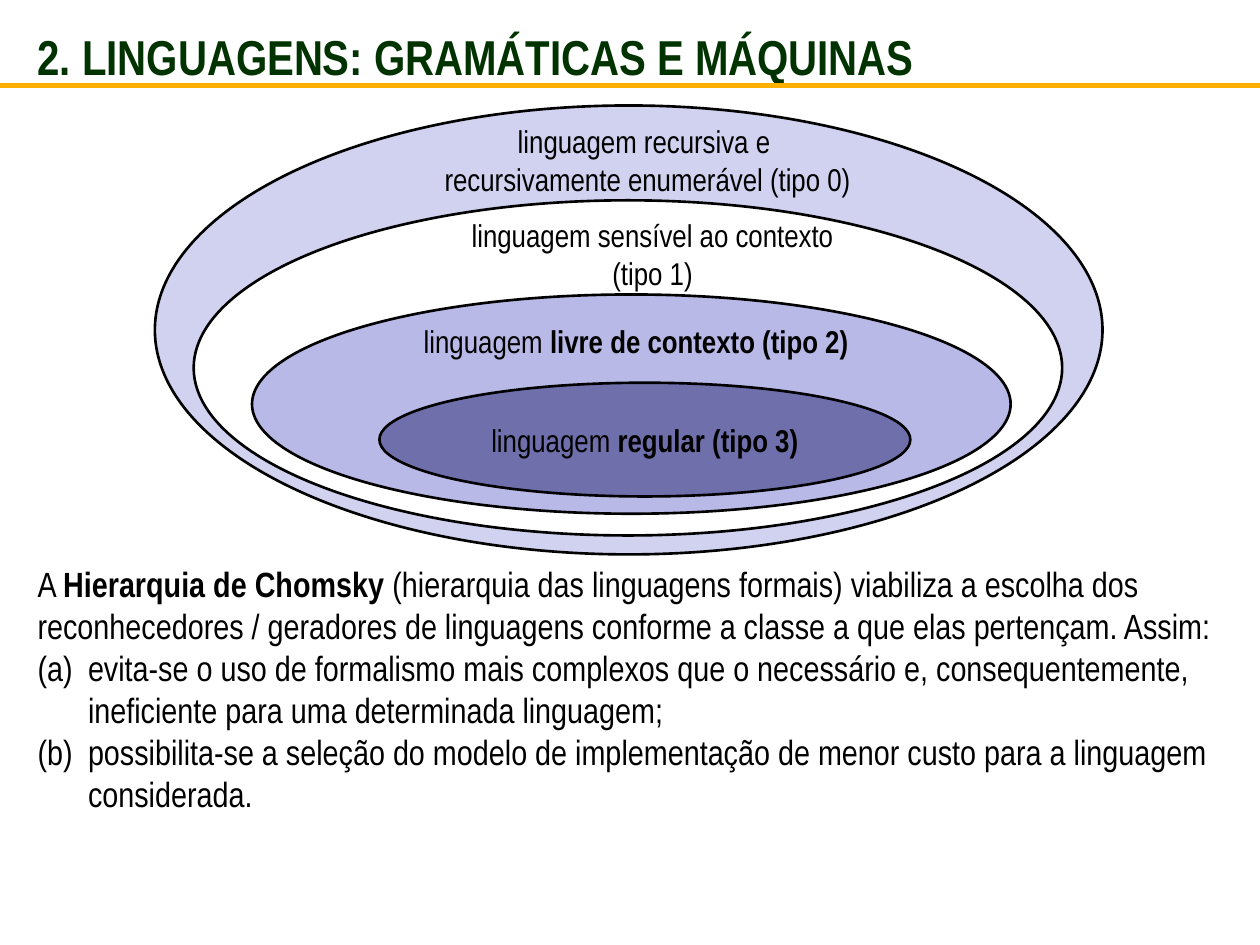
from lxml.etree import SubElement
from pptx import Presentation
from pptx.dml.color import RGBColor
from pptx.enum.shapes import MSO_CONNECTOR, MSO_SHAPE
from pptx.enum.text import MSO_ANCHOR, PP_ALIGN
from pptx.oxml.ns import qn
from pptx.util import Pt

FONT = "Arial Narrow"
BLACK = RGBColor(0, 0, 0)
WHITE = RGBColor(0xFF, 0xFF, 0xFF)
GREEN = RGBColor(0, 0x33, 0)
AMBER = RGBColor(0xFF, 0xB0, 0)
PALE = RGBColor(0xD1, 0xD1, 0xF0)
LILAC = RGBColor(0x75, 0x75, 0xD1)
NAVY = RGBColor(0x26, 0x26, 0x73)

# Each paragraph is a list of (text, bold) runs.
TITLE = [[("2. LINGUAGENS: GRAMÁTICAS E MÁQUINAS", True)]]
TYPE_0 = [[("linguagem recursiva e ", False)],
          [("recursivamente enumerável (tipo 0)", False)]]
TYPE_1 = [[("linguagem sensível ao contexto", False)], [("(tipo 1)", False)]]
TYPE_2 = [[("linguagem ", False), ("livre de contexto (tipo 2)", True)]]
TYPE_3 = [[("linguagem ", False), ("regular (tipo 3)", True)]]
BODY = [
    [("A ", False), ("Hierarquia de Chomsky ", True),
     ("(hierarquia das linguagens formais) viabiliza a escolha dos "
      "reconhecedores / geradores de linguagens conforme a classe a que "
      "elas pertençam. Assim: ", False)],
    [("evita-se o uso de formalismo mais complexos que o necessário e, "
      "consequentemente, ineficiente para uma determinada linguagem; ", False)],
    [("possibilita-se a seleção do modelo de implementação de menor custo "
      "para a linguagem considerada.", False)],
]


def write(frame, paras, size, color=BLACK, align=PP_ALIGN.LEFT,
          anchor=MSO_ANCHOR.TOP):
    """Fill a text frame with paragraphs of runs."""
    frame.word_wrap = True
    frame.vertical_anchor = anchor
    for i, runs in enumerate(paras):
        para = frame.add_paragraph() if i else frame.paragraphs[0]
        para.alignment = align
        para.font.name = FONT
        para.font.size = Pt(size)
        para.font.color.rgb = color
        for text, bold in runs:
            run = para.add_run()
            run.text = text
            run.font.bold = bold


def add_text(slide, box, paras, size, **style):
    """Add a text box and return its frame."""
    frame = slide.shapes.add_textbox(*map(Pt, box)).text_frame
    write(frame, paras, size, **style)
    return frame


def add_label(slide, box, paras):
    """Add a centred label for a language class."""
    add_text(slide, box, paras, 18, align=PP_ALIGN.CENTER)


def add_oval(slide, box, color, alpha=100):
    """Add an outlined ellipse, opaque to alpha percent."""
    oval = slide.shapes.add_shape(MSO_SHAPE.OVAL, *map(Pt, box))
    oval.shadow.inherit = False
    oval.fill.solid()
    oval.fill.fore_color.rgb = color
    oval.line.color.rgb = BLACK
    oval.line.width = Pt(1.5)
    if alpha < 100:
        tint = oval.element.spPr.find(qn("a:solidFill"))[0]
        SubElement(tint, qn("a:alpha"), val=str(alpha * 1000))
    return oval


def add_rule(slide, y, width):
    """Add the line under the title."""
    rule = slide.shapes.add_connector(
        MSO_CONNECTOR.STRAIGHT, Pt(0), Pt(y), Pt(width), Pt(y))
    rule.line.color.rgb = AMBER
    rule.line.width = Pt(3)
    SubElement(rule.element.spPr, qn("a:effectLst"))


def number(para, indent):
    """Number a paragraph (a), (b) with a hanging indent."""
    props = para._p.get_or_add_pPr()
    props.set("marL", str(Pt(indent)))
    props.set("indent", str(-Pt(indent)))
    SubElement(props, qn("a:buFont"), typeface=FONT)
    SubElement(props, qn("a:buAutoNum"), type="alphaLcParenBoth")
    # Default run properties must follow the bullet.
    props.append(props.find(qn("a:defRPr")))


def main():
    """Build the slide and save it."""
    deck = Presentation()
    deck.slide_width, deck.slide_height = Pt(720), Pt(540)
    slide = deck.slides.add_slide(deck.slide_layouts[6])

    add_oval(slide, (88.5, 60.3, 541.5, 256.5), PALE)
    add_oval(slide, (110.7, 114.5, 496.3, 191.5), WHITE)
    add_label(slide, (141.8, 120.2, 462.2, 50), TYPE_1)
    add_label(slide, (139, 66.2, 462.2, 50), TYPE_0)
    add_oval(slide, (144, 168.3, 433.5, 125.3), LILAC, 50)
    add_label(slide, (177.8, 180.7, 371.5, 38), TYPE_2)
    core = add_oval(slide, (216.8, 218.7, 303.4, 65), NAVY, 50)
    write(core.text_frame, TYPE_3, 18, align=PP_ALIGN.CENTER,
          anchor=MSO_ANCHOR.MIDDLE)

    body = add_text(slide, (14.4, 318, 690.5, 152), BODY, 20)
    for para in body.paragraphs[1:]:
        number(para, 28.8)
    add_text(slide, (14.4, 8, 690.5, 48), TITLE, 28, color=GREEN,
             anchor=MSO_ANCHOR.MIDDLE)
    add_rule(slide, 49, 720)
    deck.save("out.pptx")


main()
